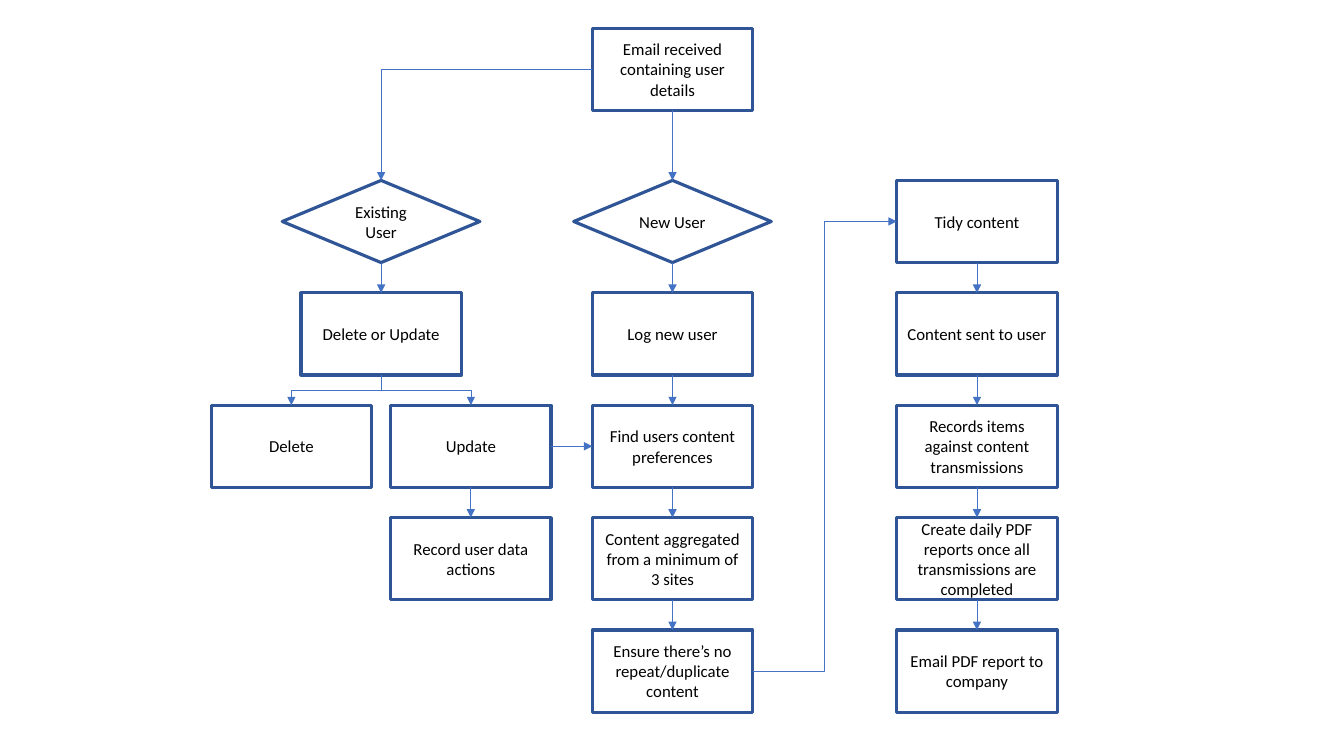
import pptx
import pptx.util
import pptx.dml.color
import pptx.enum.shapes
import pptx.enum.text
import pptx.oxml.ns
import lxml.etree

# Content: key -> (text, kind, column, row)
STEPS = {
    "received": ("Email received containing user details", "process", "new", "start"),
    "new": ("New User", "decision", "new", 0),
    "log": ("Log new user", "process", "new", 1),
    "find": ("Find users content preferences", "process", "new", 2),
    "aggregate": ("Content aggregated from a minimum of 3 sites", "process", "new", 3),
    "unique": ("Ensure there’s no repeat/duplicate content", "process", "new", 4),
    "tidy": ("Tidy content", "process", "delivery", 0),
    "sent": ("Content sent to user", "process", "delivery", 1),
    "items": ("Records items against content transmissions", "process", "delivery", 2),
    "daily": ("Create daily PDF reports once all transmissions are completed",
              "process", "delivery", 3),
    "report": ("Email PDF report to company", "process", "delivery", 4),
    "existing": ("Existing User", "decision", "existing", 0),
    "choice": ("Delete or Update", "process", "existing", 1),
    "delete": ("Delete", "process", "delete", 2),
    "update": ("Update", "process", "update", 2),
    "actions": ("Record user data actions", "process", "update", 3),
}
CHAINS = [
    ("received", "new", "log", "find", "aggregate", "unique"),
    ("tidy", "sent", "items", "daily", "report"),
    ("existing", "choice"),
    ("update", "actions"),
]
# From, to, side left, side entered, route
TURNS = [
    ("update", "find", "right", "left", "straight"),
    ("unique", "tidy", "right", "left", "elbow"),
    ("received", "existing", "left", "top", "corner"),
    ("choice", "update", "bottom", "top", "branch"),
    ("choice", "delete", "bottom", "top", "branch"),
]

# Grid, in inches
COLUMN_CENTRES = {"delete": 2.89, "existing": 3.78, "update": 4.67,
                  "new": 6.67, "delivery": 9.69}
START_TOP, GRID_TOP, ROW_PITCH = 0.28, 1.79, 1.115
STEP_HEIGHT = 0.815
SIDES = {"top": 0, "left": 1, "bottom": 2, "right": 3}
SHAPE = pptx.enum.shapes.MSO_SHAPE
KINDS = {"process": (SHAPE.FLOWCHART_PROCESS, 1.59),
         "decision": (SHAPE.FLOWCHART_DECISION, 1.96)}

RGB = pptx.dml.color.RGBColor.from_string
THEME = {
    "outline": {"color": RGB("2F5597"), "width": pptx.util.Pt(2.25)},
    "arrow": {"color": RGB("4472C4"), "width": pptx.util.Pt(0.5)},
    "font": {"name": "Calibri", "size": pptx.util.Pt(12)},
    "ink": RGB("000000"),
}


def style_line(line, style):
    """Give a line its colour and width."""
    line.color.rgb = style["color"]
    line.width = style["width"]


def add_step(shapes, text, kind, column, row):
    """Add one flowchart step at its grid cell."""
    preset, width = KINDS[kind]
    top = START_TOP if row == "start" else GRID_TOP + row * ROW_PITCH
    box = (COLUMN_CENTRES[column] - width / 2, top, width, STEP_HEIGHT)
    step = shapes.add_shape(preset, *map(pptx.util.Inches, box))
    step.shadow.inherit = False
    step.fill.background()
    style_line(step.line, THEME["outline"])
    frame = step.text_frame
    frame.word_wrap = True
    frame.vertical_anchor = pptx.enum.text.MSO_ANCHOR.MIDDLE
    label = frame.paragraphs[0]
    label.alignment = pptx.enum.text.PP_ALIGN.CENTER
    run = label.add_run()
    run.text = text
    for name, value in THEME["font"].items():
        setattr(run.font, name, value)
    run.font.color.rgb = THEME["ink"]
    return step


def turn_downwards(arrow):
    """Turn an elbow a quarter so it leaves and enters vertically."""
    rightwards = arrow.end_x > arrow.begin_x
    across, down = arrow.width, arrow.height
    middle_x, middle_y = arrow.left + across // 2, arrow.top + down // 2
    frame = {"left": middle_x - down // 2, "top": middle_y - across // 2,
             "width": down, "height": across}
    for name, value in frame.items():
        setattr(arrow, name, value)
    transform = arrow.element.spPr.find(pptx.oxml.ns.qn("a:xfrm"))
    transform.set("rot", str((270 if rightwards else 90) * 60000))
    transform.set("flipH", "1" if rightwards else "0")


def add_arrow(shapes, source, target, leave, enter, route):
    """Join two steps with an arrow glued to the named sides."""
    types = pptx.enum.shapes.MSO_CONNECTOR
    kind = types.STRAIGHT if route == "straight" else types.ELBOW
    arrow = shapes.add_connector(kind, 0, 0, 0, 0)
    arrow.begin_connect(source, SIDES[leave])
    arrow.end_connect(target, SIDES[enter])
    style_line(arrow.line, THEME["arrow"])
    properties = arrow.element.spPr
    qn = pptx.oxml.ns.qn
    lxml.etree.SubElement(properties.find(qn("a:ln")), qn("a:tailEnd"), type="triangle")
    lxml.etree.SubElement(properties, qn("a:effectLst"))
    if route == "corner":
        properties.find(qn("a:prstGeom")).set("prst", "bentConnector2")
    elif route == "branch":
        turn_downwards(arrow)


def main():
    """Build the flowchart slide and save it."""
    deck = pptx.Presentation()
    deck.slide_width = pptx.util.Inches(13.33)
    deck.slide_height = pptx.util.Inches(7.5)
    shapes = deck.slides.add_slide(deck.slide_layouts[6]).shapes
    steps = {key: add_step(shapes, *step) for key, step in STEPS.items()}
    downward = [(source, target, "bottom", "top", "straight")
                for chain in CHAINS for source, target in zip(chain, chain[1:])]
    for source, target, leave, enter, route in downward + TURNS:
        add_arrow(shapes, steps[source], steps[target], leave, enter, route)
    deck.save("out.pptx")


main()
